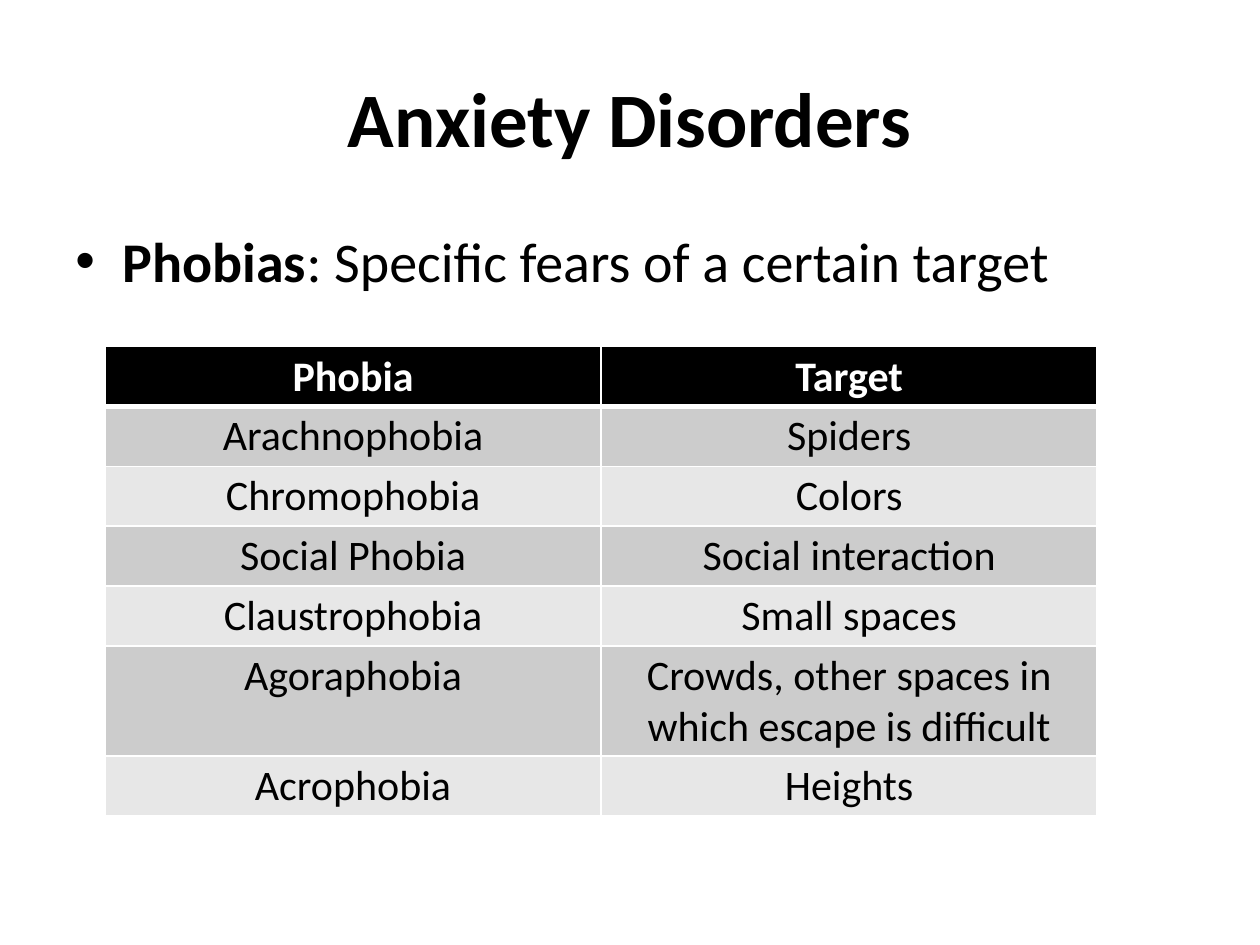
from lxml import etree
from pptx import Presentation
from pptx.dml.color import RGBColor
from pptx.enum.text import MSO_ANCHOR, PP_ALIGN
from pptx.oxml.ns import qn
from pptx.util import Pt

CENTER, LEFT = PP_ALIGN.CENTER, PP_ALIGN.LEFT
MIDDLE, TOP = MSO_ANCHOR.MIDDLE, MSO_ANCHOR.TOP

TITLE = "Anxiety Disorders"
TERM, DEFINITION = "Phobias", ": Specific fears of a certain target"
PHOBIAS = [
    ("Phobia", "Target"),
    ("Arachnophobia", "Spiders"),
    ("Chromophobia", "Colors"),
    ("Social Phobia", "Social interaction"),
    ("Claustrophobia", "Small spaces"),
    ("Agoraphobia", "Crowds, other spaces in which escape is difficult"),
    ("Acrophobia", "Heights"),
]
TALL_ROW = 5

THEME = {
    "font": "Calibri",
    "text": "000000", "inverse": "FFFFFF",
    "header": "000000", "bands": ("CCCCCC", "E7E7E7"), "border": "FFFFFF",
    "title_size": 44, "body_size": 32, "table_size": 24,
}
MARGIN, CONTENT_W = 36, 648
TABLE_X, TABLE_Y, COL_W = 60, 198, 283.5
ROW_H, TALL_H = 32.4, 58.3
BULLET_INDENT = 27
CELL_MARGINS = {"margin_left": 5.2, "margin_right": 5.2,
                "margin_top": 2.7, "margin_bottom": 2.7}


def add_run(p, text, size, color=THEME["text"], bold=False):
    r = p.add_run()
    r.text = text
    r.font.color.rgb = RGBColor.from_string(color)
    for name, value in {"name": THEME["font"], "size": Pt(size), "bold": bold}.items():
        setattr(r.font, name, value)


def add_text_box(s, y, height, anchor, align):
    """Add a full-width text box and return its first paragraph."""
    tf = s.shapes.add_textbox(Pt(MARGIN), Pt(y), Pt(CONTENT_W), Pt(height)).text_frame
    tf.word_wrap, tf.vertical_anchor = True, anchor
    p = tf.paragraphs[0]
    p.alignment = align
    return p


def add_bullet(p):
    pPr = p._p.get_or_add_pPr()
    pPr.set("marL", str(Pt(BULLET_INDENT)))
    pPr.set("indent", str(-Pt(BULLET_INDENT)))
    etree.SubElement(pPr, qn("a:buFont")).set("typeface", "Arial")
    etree.SubElement(pPr, qn("a:buChar")).set("char", "•")


def set_borders(cell, widths):
    tcPr = cell._tc.get_or_add_tcPr()
    for side, width in widths.items():
        ln = etree.SubElement(tcPr, qn(f"a:ln{side}"), w=str(Pt(width)))
        fill = etree.SubElement(ln, qn("a:solidFill"))
        etree.SubElement(fill, qn("a:srgbClr")).set("val", THEME["border"])


def fill_cell(cell, text, row):
    is_header = row == 0
    set_borders(cell, {"L": 1, "R": 1, "T": 3 if row == 1 else 1,
                       "B": 3 if is_header else 1})
    cell.fill.solid()
    color = THEME["header"] if is_header else THEME["bands"][(row - 1) % 2]
    cell.fill.fore_color.rgb = RGBColor.from_string(color)
    for name, value in CELL_MARGINS.items():
        setattr(cell, name, Pt(value))
    p = cell.text_frame.paragraphs[0]
    p.alignment = CENTER
    add_run(p, text, THEME["table_size"],
            THEME["inverse" if is_header else "text"], is_header)


def add_phobia_table(s):
    heights = [TALL_H if i == TALL_ROW else ROW_H for i in range(len(PHOBIAS))]
    cols = len(PHOBIAS[0])
    table = s.shapes.add_table(len(PHOBIAS), cols, Pt(TABLE_X), Pt(TABLE_Y),
                               Pt(COL_W * cols), Pt(sum(heights))).table
    for col in table.columns:
        col.width = Pt(COL_W)
    for i, (texts, height) in enumerate(zip(PHOBIAS, heights)):
        table.rows[i].height = Pt(height)
        for j, text in enumerate(texts):
            fill_cell(table.cell(i, j), text, i)


def main():
    prs = Presentation()
    prs.slide_width, prs.slide_height = Pt(720), Pt(540)
    s = prs.slides.add_slide(prs.slide_layouts[6])

    title = add_text_box(s, 21.6, 90, MIDDLE, CENTER)
    add_run(title, TITLE, THEME["title_size"], bold=True)

    body = add_text_box(s, 126, 356.4, TOP, LEFT)
    add_bullet(body)
    add_run(body, TERM, THEME["body_size"], bold=True)
    add_run(body, DEFINITION, THEME["body_size"])

    add_phobia_table(s)
    prs.save("out.pptx")


if __name__ == "__main__":
    main()
